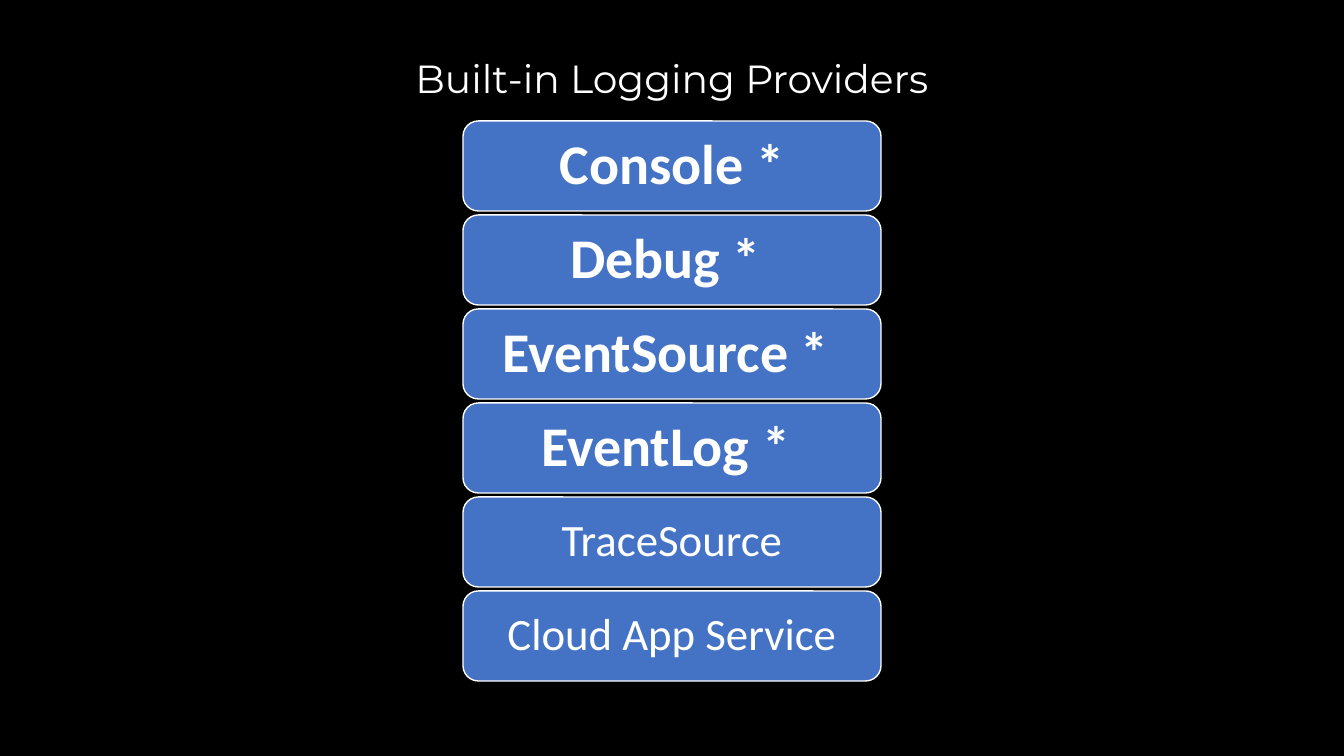
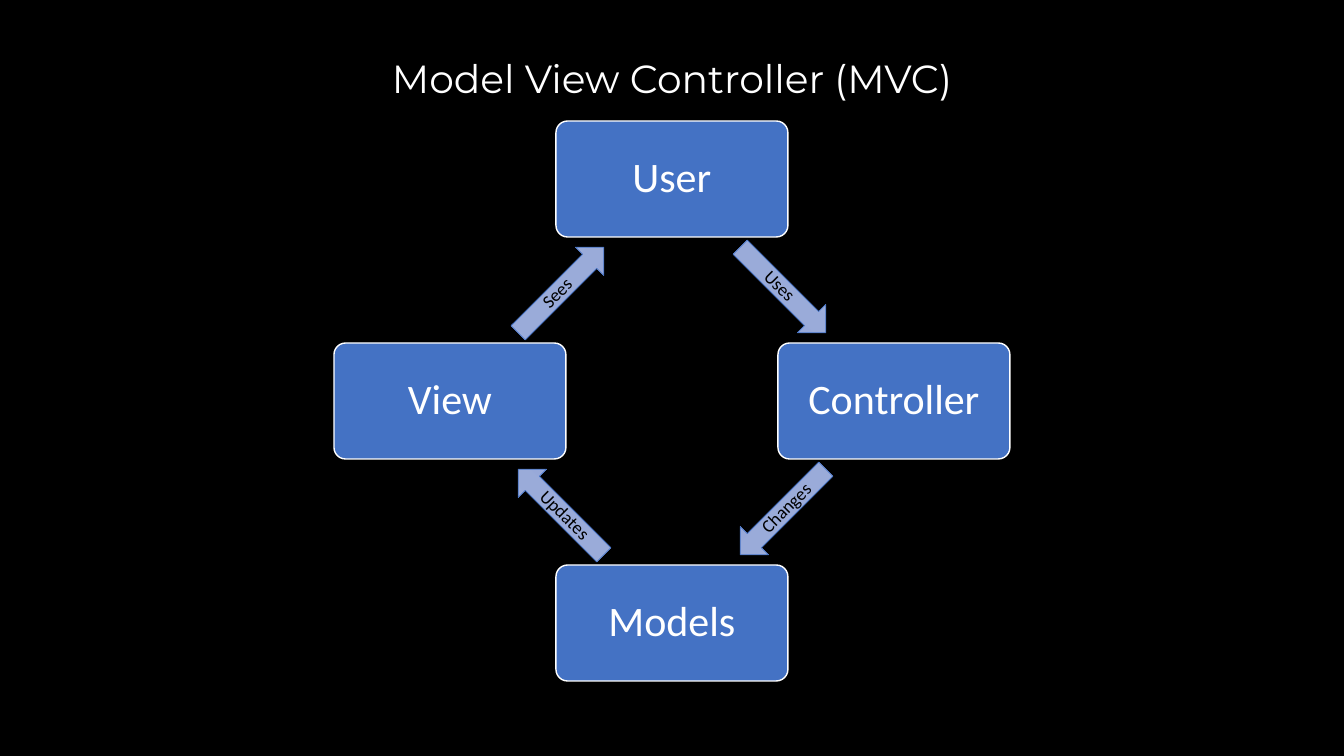
"""Build two dark slides: a stack of logging providers and the MVC cycle."""
from copy import deepcopy
from math import cos, radians, sin

from pptx import Presentation
from pptx.dml.color import RGBColor
from pptx.enum.shapes import MSO_SHAPE as Preset
from pptx.enum.text import MSO_ANCHOR as Anchor, PP_ALIGN as Align
from pptx.oxml.ns import qn
from pptx.util import Emu, Pt

SLIDE_WIDTH, SLIDE_HEIGHT = 1344, 756
EMU_PER_PX = 12192000 / SLIDE_WIDTH
CENTER_X = SLIDE_WIDTH // 2

BLACK, WHITE, BLUE = "000000", "FFFFFF", "4472C4"
ARROW_STOPS = [(0, "A8B7DF"), (0.5, "9AABD9"), (1, "889ED7")]
TITLE_FONT, BODY_FONT = "Montserrat", "Calibri"

PROVIDERS_TITLE = "Built-in Logging Providers"
PROVIDERS = [
    ("Console *", True),
    ("Debug * ", True),
    ("EventSource * ", True),
    ("EventLog * ", True),
    ("TraceSource", False),
    ("Cloud App Service", False),
]
STACK_TOP, STACK_PITCH = 121, 94
PROVIDER_SIZE = (418, 90)

MVC_TITLE = "Model View Controller (MVC)"
MVC_CYCLE = [
    ("User", "Uses"),
    ("Controller", "Changes"),
    ("Models", "Updates"),
    ("View", "Sees"),
]
CYCLE_CENTER_Y, CYCLE_RADIUS = 401, 222
PART_SIZE, ARROW_SIZE, LABEL_SIZE = (232, 116), (121, 40), (110, 20)
LABEL_SETBACK = 5


def px(length):
    return Emu(round(length * EMU_PER_PX))


def color(value):
    return RGBColor.from_string(value)


def frame(center_x, center_y, size):
    width, height = size
    left, top = center_x - width / 2, center_y - height / 2
    return [px(length) for length in (left, top, width, height)]


def write(shape, text, size, font_color=WHITE, font_name=BODY_FONT, bold=False):
    text_frame = shape.text_frame
    text_frame.word_wrap = True
    text_frame.vertical_anchor = Anchor.MIDDLE
    text_frame.margin_left = text_frame.margin_right = 0
    text_frame.margin_top = text_frame.margin_bottom = 0
    paragraph = text_frame.paragraphs[0]
    paragraph.text = text
    paragraph.alignment = Align.CENTER
    paragraph.line_spacing = 0.9
    font = paragraph.font
    font.name, font.size, font.bold = font_name, Pt(size), bold
    font.color.rgb = color(font_color)


def add_text(slide, center, size, text, points, rotation=0, **style):
    box = slide.shapes.add_textbox(*frame(*center, size))
    box.rotation = rotation
    write(box, text, points, **style)


def add_preset(slide, preset, center, size, line_color, line_width):
    shape = slide.shapes.add_shape(preset, *frame(*center, size))
    shape.shadow.inherit = False
    shape.line.color.rgb = color(line_color)
    shape.line.width = Pt(line_width)
    return shape


def add_box(slide, center, size, corner, text, points, bold=False):
    box = add_preset(slide, Preset.ROUNDED_RECTANGLE, center, size, WHITE, 1)
    box.adjustments[0] = corner
    box.fill.solid()
    box.fill.fore_color.rgb = color(BLUE)
    write(box, text, points, bold=bold)


def add_arrow(slide, center, rotation):
    arrow = add_preset(slide, Preset.RIGHT_ARROW, center, ARROW_SIZE, BLUE, 0.5)
    arrow.rotation = rotation
    arrow.fill.gradient()
    arrow.fill.gradient_angle = 270
    stop_list = arrow.fill._xPr.find(qn("a:gradFill")).find(qn("a:gsLst"))
    stop_list.insert(1, deepcopy(stop_list[0]))
    for stop, (position, stop_color) in zip(arrow.fill.gradient_stops, ARROW_STOPS):
        stop.position = position
        stop.color.rgb = color(stop_color)


def add_slide(presentation, title):
    slide = presentation.slides.add_slide(presentation.slide_layouts[6])
    slide.background.fill.solid()
    slide.background.fill.fore_color.rgb = color(BLACK)
    add_text(slide, (CENTER_X, 81), (1160, 80), title, 28, font_name=TITLE_FONT)
    return slide


def build_providers(presentation):
    slide = add_slide(presentation, PROVIDERS_TITLE)
    for index, (name, is_default) in enumerate(PROVIDERS):
        center = (CENTER_X, STACK_TOP + PROVIDER_SIZE[1] / 2 + index * STACK_PITCH)
        add_box(slide, center, PROVIDER_SIZE, 0.17, name,
                40 if is_default else 32, is_default)


def build_mvc(presentation):
    slide = add_slide(presentation, MVC_TITLE)
    centers = [
        (CENTER_X + CYCLE_RADIUS * dx, CYCLE_CENTER_Y + CYCLE_RADIUS * dy)
        for dx, dy in [(0, -1), (1, 0), (0, 1), (-1, 0)]
    ]
    for index, (part, action) in enumerate(MVC_CYCLE):
        start, end = centers[index], centers[(index + 1) % len(centers)]
        middle_x, middle_y = (start[0] + end[0]) / 2, (start[1] + end[1]) / 2
        rotation = 45 + 90 * index
        upright = ((rotation + 90) % 180 - 90) % 360
        label_center = (middle_x - LABEL_SETBACK * cos(radians(rotation)),
                        middle_y - LABEL_SETBACK * sin(radians(rotation)))
        add_box(slide, start, PART_SIZE, 0.1, part, 30)
        add_arrow(slide, (middle_x, middle_y), rotation)
        add_text(slide, label_center, LABEL_SIZE, action, 13, upright, font_color=BLACK)


def main():
    presentation = Presentation()
    presentation.slide_width = px(SLIDE_WIDTH)
    presentation.slide_height = px(SLIDE_HEIGHT)
    build_providers(presentation)
    build_mvc(presentation)
    presentation.save("out.pptx")


if __name__ == "__main__":
    main()
